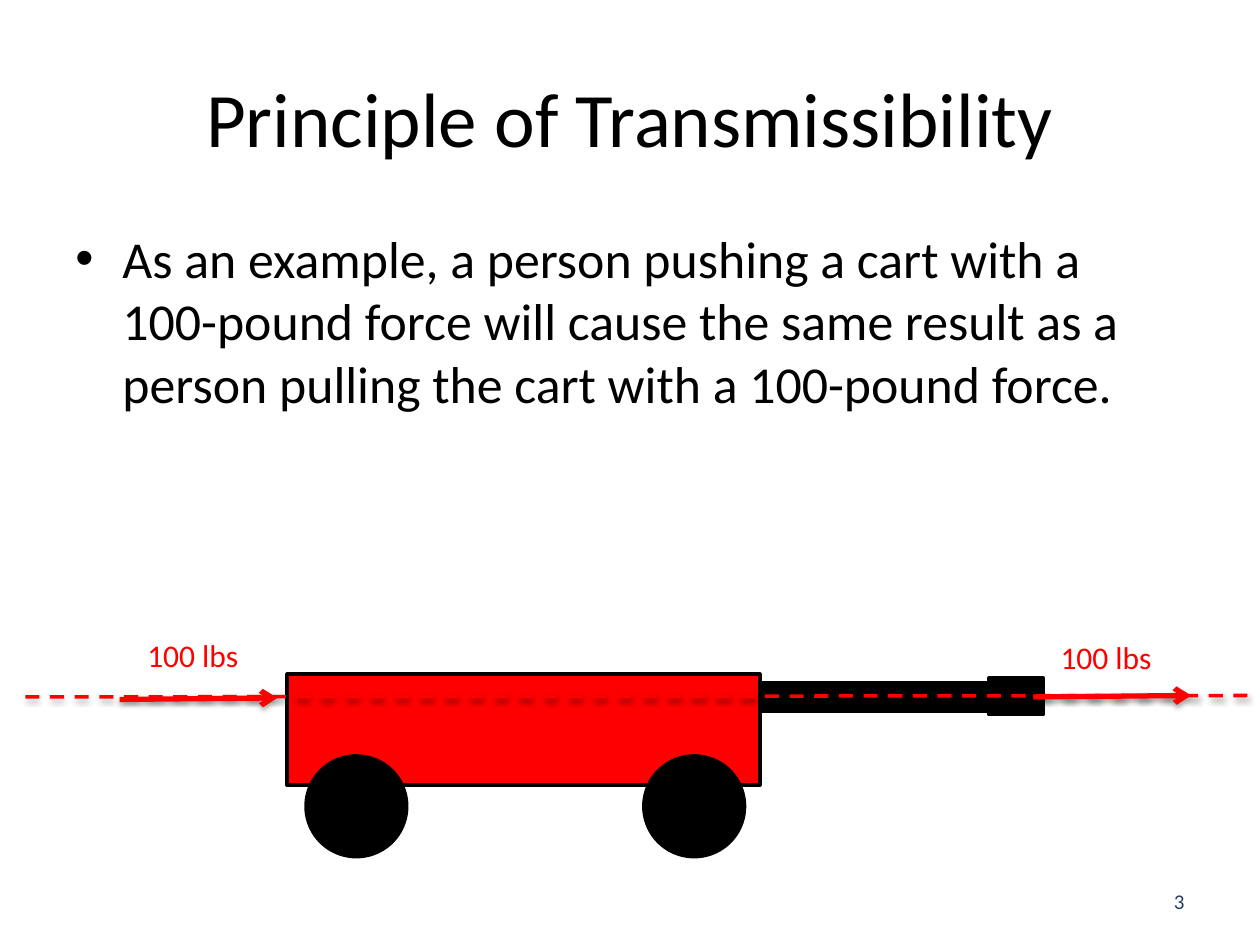
"""Build the Principle of Transmissibility slide with its cart and force arrows."""
from dataclasses import dataclass

from lxml import etree
from pptx import Presentation
from pptx import util as u
from pptx.dml.color import RGBColor
from pptx.enum import dml, shapes, text
from pptx.oxml.ns import qn


@dataclass(frozen=True)
class Theme:
    font: str = "Calibri"
    ink: str = "000000"
    force: str = "FF0000"
    number: str = "254061"
    title_size: float = 44
    body_size: float = 29.6
    label_size: float = 18
    number_size: float = 12


THEME = Theme()
TITLE = "Principle of Transmissibility"
EXAMPLE = (
    "As an example, a person pushing a cart with a 100-pound force will cause "
    "the same result as a person pulling the cart with a 100-pound force."
)
FORCE = "100 lbs"
PAGE_NUMBER = "3"

RECT, OVAL = shapes.MSO_SHAPE.RECTANGLE, shapes.MSO_SHAPE.OVAL
WHEEL_TOP, WHEEL_SIZE = 15.24, 2.03
CART = [
    (RECT, (10.54, 13.77, 9.53, 0.56), THEME.ink),
    (RECT, (5.79, 13.59, 9.53, 2.24), THEME.force),
    *[(OVAL, (left, WHEEL_TOP, WHEEL_SIZE, WHEEL_SIZE), THEME.ink) for left in (6.17, 12.98)],
    (RECT, (19.94, 13.67, 1.09, 0.74), THEME.ink),
]
LINE_OF_ACTION = ((0.51, 14.05), (25.27, 14.02))
ARROW_LENGTH, ARROW_RISE = 3.18, 0.03
FORCES = [((20.83, 14.05), (21.13, 12.73)), ((2.41, 14.1), (2.72, 12.7))]


def lengths(values):
    return [u.Cm(value) for value in values]


def write(box, words, *, size, color=THEME.ink, align=text.PP_ALIGN.LEFT,
          anchor=text.MSO_ANCHOR.TOP, wrap=True, bullet=False):
    frame = box.text_frame
    frame.word_wrap = wrap
    frame.auto_size = text.MSO_AUTO_SIZE.NONE if wrap else text.MSO_AUTO_SIZE.SHAPE_TO_FIT_TEXT
    frame.vertical_anchor = anchor
    para = frame.paragraphs[0]
    para.alignment = align
    if bullet:
        properties = para._p.get_or_add_pPr()
        properties.set("marL", str(u.Cm(0.95)))
        properties.set("indent", str(u.Cm(-0.95)))
        etree.SubElement(properties, qn("a:buFont"), typeface="Arial")
        etree.SubElement(properties, qn("a:buChar"), char="•")
    span = para.add_run()
    span.text = words
    span.font.name = THEME.font
    span.font.size = u.Pt(size)
    span.font.color.rgb = RGBColor.from_string(color)


def add_text(page, at, words, **style):
    write(page.shapes.add_textbox(*lengths(at)), words, **style)


def add_part(page, kind, at, fill):
    part = page.shapes.add_shape(kind, *lengths(at))
    part.shadow.inherit = False
    part.fill.solid()
    part.fill.fore_color.rgb = RGBColor.from_string(fill)
    part.line.color.rgb = RGBColor.from_string(THEME.ink)
    part.line.width = u.Pt(2)


def add_line(page, start, end, *, width, opacity, distance, dashed=False, arrow=False):
    line = page.shapes.add_connector(
        shapes.MSO_CONNECTOR.STRAIGHT, *lengths((*start, *end)))
    line.line.color.rgb = RGBColor.from_string(THEME.force)
    line.line.width = u.Pt(width)
    if dashed:
        line.line.dash_style = dml.MSO_LINE.DASH
    if arrow:
        etree.SubElement(line.line._get_or_add_ln(), qn("a:tailEnd"), type="arrow")
    effects = etree.SubElement(line._element.spPr, qn("a:effectLst"))
    shadow = etree.SubElement(
        effects, qn("a:outerShdw"), blurRad=str(u.Pt(3.1)), dist=str(u.Pt(distance)),
        dir="5400000", rotWithShape="0")
    color = etree.SubElement(shadow, qn("a:srgbClr"), val=THEME.ink)
    etree.SubElement(color, qn("a:alpha"), val=str(opacity * 1000))


def main():
    deck = Presentation()
    deck.slide_width, deck.slide_height = lengths((25.4, 19.05))
    page = deck.slides.add_slide(deck.slide_layouts[5])

    for kind, at, fill in CART:
        add_part(page, kind, at, fill)
    add_line(page, *LINE_OF_ACTION, width=2, opacity=38, distance=1.6, dashed=True)

    title = page.shapes.title
    title.left, title.top, title.width, title.height = lengths((1.27, 0.76, 22.86, 3.18))
    write(title, TITLE, size=THEME.title_size, align=text.PP_ALIGN.CENTER,
          anchor=text.MSO_ANCHOR.MIDDLE)
    add_text(page, (1.27, 4.45, 22.86, 4.88), EXAMPLE, size=THEME.body_size, bullet=True)
    add_text(page, (18.21, 17.65, 5.92, 1.02), PAGE_NUMBER, size=THEME.number_size,
             color=THEME.number, align=text.PP_ALIGN.RIGHT, anchor=text.MSO_ANCHOR.MIDDLE)

    for (left, top), label in FORCES:
        add_line(page, (left, top), (left + ARROW_LENGTH, top - ARROW_RISE),
                 width=3, opacity=35, distance=1.8, arrow=True)
        add_text(page, (*label, 2.36, 1.02), FORCE, size=THEME.label_size,
                 color=THEME.force, wrap=False)

    deck.save("out.pptx")


if __name__ == "__main__":
    main()
